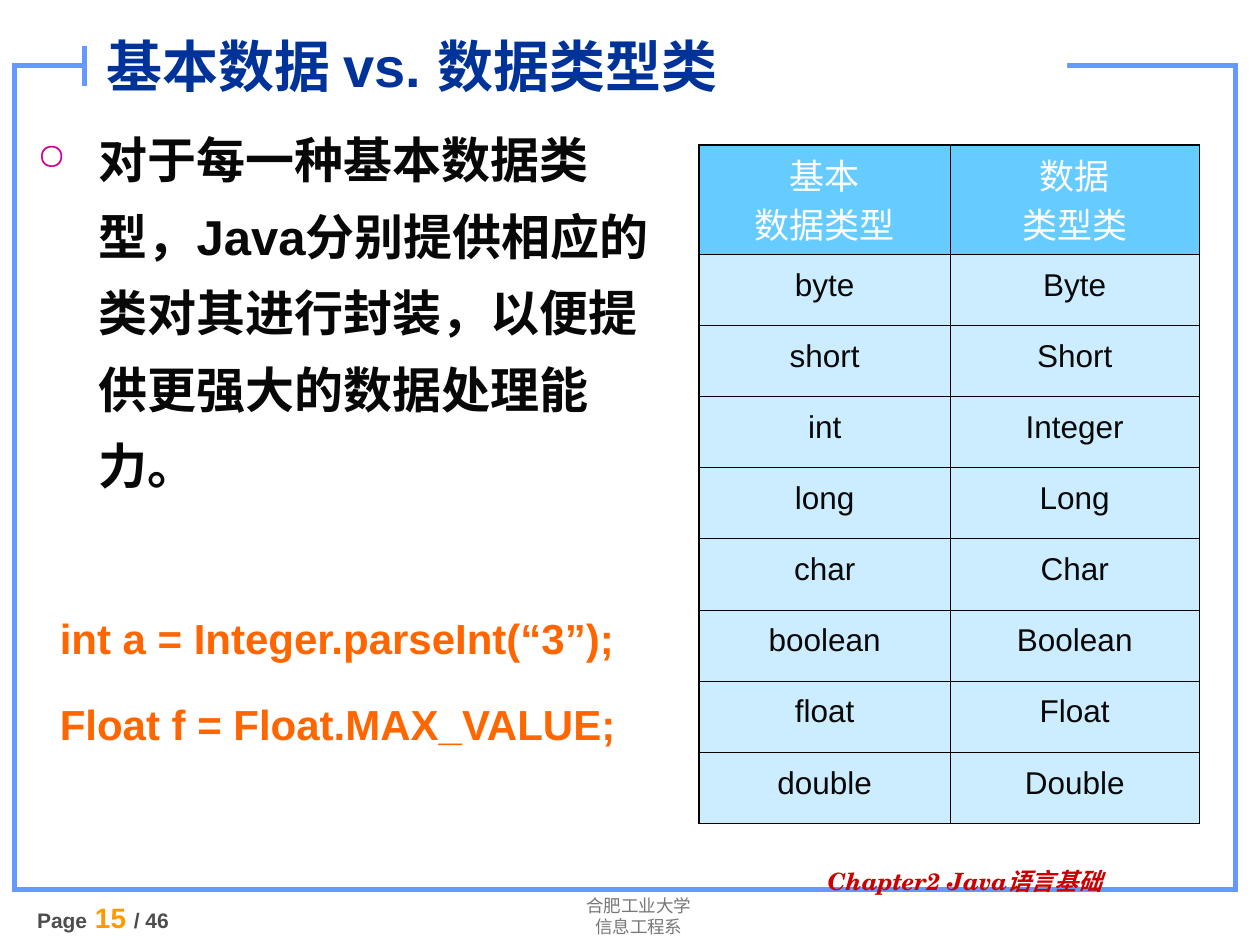
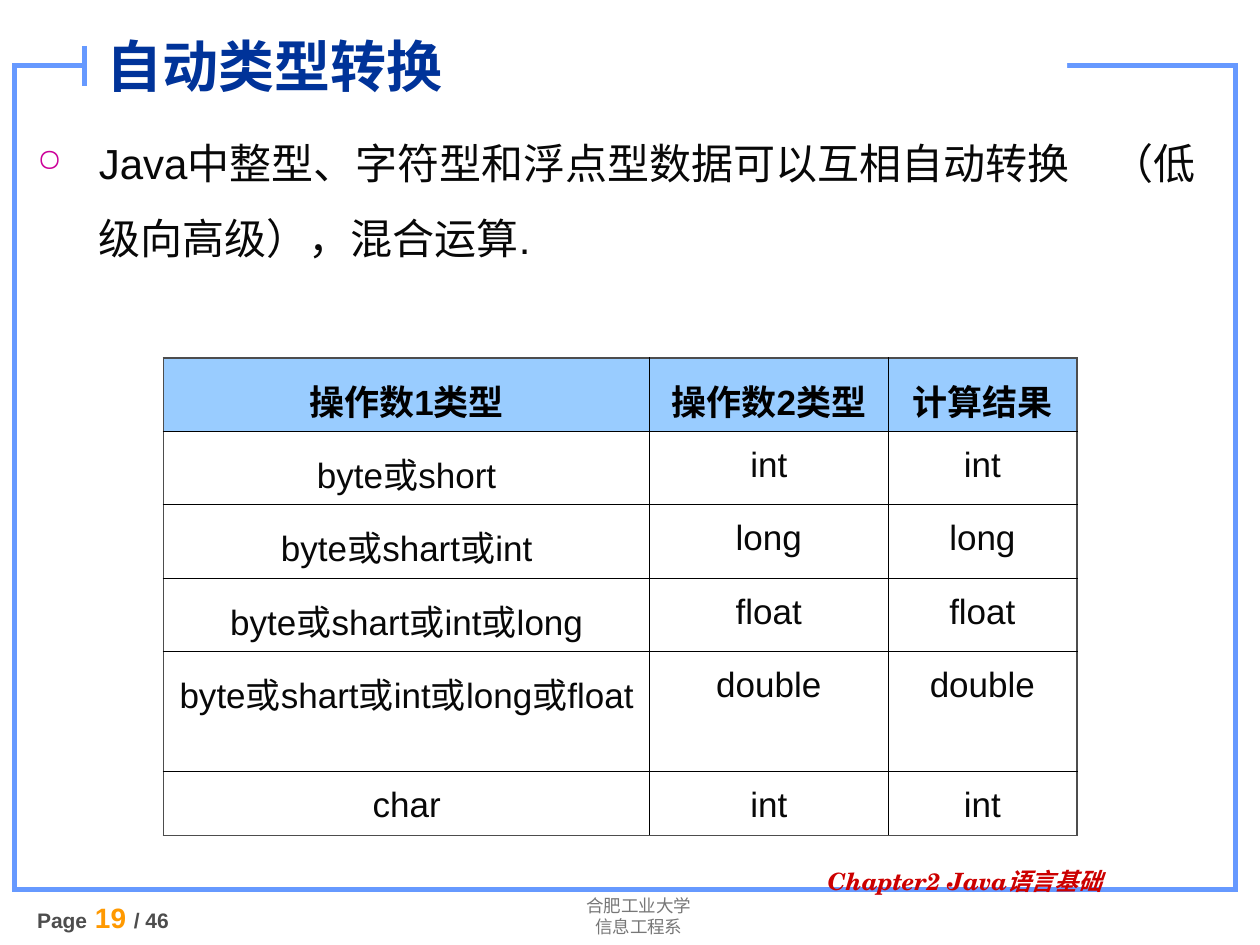
from dataclasses import dataclass
from typing import Any

from lxml.etree import SubElement
from pptx import Presentation
from pptx.dml.color import RGBColor
from pptx.enum.shapes import MSO_CONNECTOR, MSO_SHAPE
from pptx.enum.text import MSO_ANCHOR, MSO_AUTO_SIZE, PP_ALIGN
from pptx.oxml.ns import qn
from pptx.util import Pt


@dataclass(frozen=True)
class Theme:
    font: str = "Arial"
    department_font: str = "Roboto"
    chapter_font: str = "TeX Gyre Schola"
    frame: str = "6699FF"
    white: str = "FFFFFF"
    black: str = "000000"
    ink: str = "080808"
    title: str = "003399"
    bullet: str = "CC0099"
    code: str = "FF6600"
    chapter: str = "CC0000"
    department: str = "777777"
    gray: str = "4D4D4D"
    page: str = "FF9900"
    type_header: str = "66CCFF"
    type_body: str = "CCECFF"
    result_header: str = "99CCFF"
    title_size: float = 32
    statement_size: float = 28
    text_size: float = 24
    table_size: float = 20
    type_size: float = 18
    page_size: float = 16
    chapter_size: float = 13.6
    label_size: float = 12
    department_size: float = 10
    bullet_percent: int = 75
    frame_line: float = 3
    outer_line: float = 1.08
    inner_line: float = 0.45


THEME = Theme()


@dataclass(frozen=True)
class Box:
    left: float
    top: float
    width: float
    height: float

    def lengths(self) -> tuple:
        return Pt(self.left), Pt(self.top), Pt(self.width), Pt(self.height)


@dataclass(frozen=True)
class TextStyle:
    size: float
    color: str
    bold: bool = False
    italic: bool = False
    font: str = THEME.font


@dataclass(frozen=True)
class Line:
    runs: tuple[tuple[str, TextStyle], ...]
    alignment: PP_ALIGN = PP_ALIGN.LEFT
    spacing: float = 1.0
    before: float = 0
    indent: float = 0
    bullet: bool = False


@dataclass(frozen=True)
class TableRow:
    texts: tuple[str, ...]
    height: float
    style: TextStyle
    spacing: float
    fill: str | None = None


@dataclass(frozen=True)
class TableSpec:
    left: float
    top: float
    columns: tuple[float, ...]
    rows: tuple[TableRow, ...]
    outer_color: str
    outer_sides: str


@dataclass(frozen=True)
class Lesson:
    number: int
    title: str
    body_box: Box
    body: tuple[Line, ...]
    table: TableSpec


FRAME_BOX = Box(8.3, 37.44, 697.68, 470.88)
TITLE_GAP_BOX = Box(48.24, 20.16, 561.6, 25.2)
TITLE_BOX = Box(53.7, 8.3, 487.44, 57.6)
DEPARTMENT_BOX = Box(273.6, 507.9, 182.88, 31.68)
PAGE_BOX = Box(14.1, 511, 130.32, 28)
CHAPTER_BOX = Box(465.84, 493.5, 221.04, 25.2)
TICK_X, TICK_TOP, TICK_BOTTOM = 48.24, 26.2, 48.96
BULLET_INDENT = 35.28
PAGE_TOTAL = 46

TITLE_STYLE = TextStyle(THEME.title_size, THEME.title, True)
STATEMENT_STYLE = TextStyle(THEME.statement_size, THEME.ink, True)
CODE_STYLE = TextStyle(THEME.text_size, THEME.code, True)
TEXT_STYLE = TextStyle(THEME.text_size, THEME.ink)
LABEL_STYLE = TextStyle(THEME.label_size, THEME.gray, True)
PAGE_STYLE = TextStyle(THEME.page_size, THEME.page, True)
CHAPTER_STYLE = TextStyle(THEME.chapter_size, THEME.chapter, True, True, THEME.chapter_font)
DEPARTMENT_STYLE = TextStyle(THEME.department_size, THEME.department, font=THEME.department_font)
TYPE_HEADER_STYLE = TextStyle(THEME.table_size, THEME.white)
TYPE_STYLE = TextStyle(THEME.type_size, THEME.ink)
RESULT_HEADER_STYLE = TextStyle(THEME.table_size, THEME.black, True)
RESULT_STYLE = TextStyle(THEME.table_size, THEME.ink)


def set_values(target: Any, values: dict[str, Any]) -> None:
    for name, value in values.items():
        setattr(target, name, value)


def color(value: str) -> RGBColor:
    return RGBColor.from_string(value)


def write_lines(frame: Any, lines: tuple[Line, ...]) -> None:
    for index, line in enumerate(lines):
        paragraph = frame.add_paragraph() if index else frame.paragraphs[0]
        properties = paragraph._p.get_or_add_pPr()
        properties.set("marL", str(Pt(line.indent)))
        properties.set("indent", str(-Pt(line.indent) if line.bullet else 0))
        properties.set("hangingPunct", "0")
        if line.bullet:
            bullet_color = SubElement(properties, qn("a:buClr"))
            SubElement(bullet_color, qn("a:srgbClr"), val=THEME.bullet)
            SubElement(properties, qn("a:buSzPct"), val=str(THEME.bullet_percent * 1000))
            SubElement(properties, qn("a:buChar"), char="○")
        set_values(paragraph, {
            "alignment": line.alignment,
            "line_spacing": line.spacing,
            "space_before": Pt(line.before),
        })
        for text, style in line.runs:
            run = paragraph.add_run()
            run.text = text
            set_values(run.font, {
                "name": style.font,
                "size": Pt(style.size),
                "bold": style.bold,
                "italic": style.italic,
            })
            run.font.color.rgb = color(style.color)


def add_text(slide: Any, box: Box, lines: tuple[Line, ...]) -> None:
    frame = slide.shapes.add_textbox(*box.lengths()).text_frame
    frame.word_wrap = True
    write_lines(frame, lines)


def add_rectangle(slide: Any, box: Box, fill: str | None, line: str | None) -> None:
    shape = slide.shapes.add_shape(MSO_SHAPE.RECTANGLE, *box.lengths())
    shape.shadow.inherit = False
    for part, value in ((shape.fill, fill), (shape.line.fill, line)):
        if value:
            part.solid()
            part.fore_color.rgb = color(value)
        else:
            part.background()
    if line:
        shape.line.width = Pt(THEME.frame_line)
        SubElement(shape._element.spPr.find(qn("a:ln")), qn("a:miter"), lim="800000")


def add_frame(slide: Any) -> None:
    add_rectangle(slide, FRAME_BOX, None, THEME.frame)
    add_rectangle(slide, TITLE_GAP_BOX, THEME.white, None)
    tick = slide.shapes.add_connector(
        MSO_CONNECTOR.STRAIGHT, Pt(TICK_X), Pt(TICK_TOP), Pt(TICK_X), Pt(TICK_BOTTOM))
    tick.line.color.rgb = color(THEME.frame)
    tick.line.width = Pt(THEME.frame_line)
    SubElement(tick._element.spPr, qn("a:effectLst"))


def add_footer(slide: Any, number: int) -> None:
    add_text(slide, DEPARTMENT_BOX, tuple(
        Line(((text, DEPARTMENT_STYLE),), PP_ALIGN.CENTER)
        for text in ("合肥工业大学", "信息工程系")))
    add_text(slide, PAGE_BOX, (Line((
        ("Page", LABEL_STYLE),
        (f" {number} ", PAGE_STYLE),
        (f"/ {PAGE_TOTAL}", LABEL_STYLE),
    )),))
    add_text(slide, CHAPTER_BOX, (Line((("Chapter2 Java语言基础", CHAPTER_STYLE),), spacing=0.9),))


def set_title(slide: Any, text: str) -> None:
    title = slide.shapes.title
    slide.shapes._spTree.append(title._element)
    set_values(title, dict(zip(("left", "top", "width", "height"), TITLE_BOX.lengths())))
    set_values(title.text_frame, {
        "word_wrap": True,
        "auto_size": MSO_AUTO_SIZE.NONE,
        "vertical_anchor": MSO_ANCHOR.MIDDLE,
    })
    write_lines(title.text_frame, (Line(((text, TITLE_STYLE),)),))


def set_border(cell: Any, side: str, value: str, width: float) -> None:
    properties = cell._tc.get_or_add_tcPr()
    line = SubElement(properties, qn(f"a:ln{side}"), w=str(Pt(width)))
    fill = SubElement(line, qn("a:solidFill"))
    SubElement(fill, qn("a:srgbClr"), val=value)


def add_table(slide: Any, spec: TableSpec) -> None:
    row_count, column_count = len(spec.rows), len(spec.columns)
    box = Box(spec.left, spec.top, sum(spec.columns), sum(row.height for row in spec.rows))
    table = slide.shapes.add_table(row_count, column_count, *box.lengths()).table
    set_values(table, {"first_row": False, "horz_banding": False})
    for column, width in zip(table.columns, spec.columns):
        column.width = Pt(width)
    for row_index, row in enumerate(spec.rows):
        table.rows[row_index].height = Pt(row.height)
        for column_index, text in enumerate(row.texts):
            cell = table.cell(row_index, column_index)
            edges = {
                "L": column_index == 0,
                "R": column_index == column_count - 1,
                "T": row_index == 0,
                "B": row_index == row_count - 1,
            }
            for side, at_edge in edges.items():
                if at_edge and side in spec.outer_sides:
                    set_border(cell, side, spec.outer_color, THEME.outer_line)
                else:
                    set_border(cell, side, THEME.black, THEME.inner_line)
            if row.fill:
                cell.fill.solid()
                cell.fill.fore_color.rgb = color(row.fill)
            else:
                cell.fill.background()
            write_lines(cell.text_frame, tuple(
                Line(((part, row.style),), PP_ALIGN.CENTER, row.spacing)
                for part in text.split("\n")))


TYPE_PAIRS = (
    ("byte", "Byte"), ("short", "Short"), ("int", "Integer"), ("long", "Long"),
    ("char", "Char"), ("boolean", "Boolean"), ("float", "Float"), ("double", "Double"),
)
CONVERSIONS = (
    ("byte或short", "int", 42),
    ("byte或shart或int", "long", 42),
    ("byte或shart或int或long", "float", 42),
    ("byte或shart或int或long或float", "double", 68.6),
    ("char", "int", 36.4),
)

TYPE_TABLE = TableSpec(
    399.6, 82.8, (143.28, 142.56),
    (TableRow(("基本\n数据类型", "数据\n类型类"), 62.5, TYPE_HEADER_STYLE, 0.95, THEME.type_header),
     *(TableRow(pair, 40.65, TYPE_STYLE, 1.2, THEME.type_body) for pair in TYPE_PAIRS)),
    THEME.black, "LTR")
RESULT_TABLE = TableSpec(
    93.4, 204.48, (277.92, 136.08, 108),
    (TableRow(("操作数1类型", "操作数2类型", "计算结果"), 42, RESULT_HEADER_STYLE, 1.2,
              THEME.result_header),
     *(TableRow((first, second, second), height, RESULT_STYLE, 1.2)
       for first, second, height in CONVERSIONS)),
    THEME.gray, "LTRB")

LESSONS = (
    Lesson(15, "基本数据 vs. 数据类型类", Box(14.1, 60.48, 374.4, 447.84), (
        Line((("对于每一种基本数据类型，Java分别提供相应的类对其进行封装，以便提供更强大的数据处理能力。",
               STATEMENT_STYLE),), spacing=1.3, indent=BULLET_INDENT, bullet=True),
        Line((("int a = Integer.parseInt(“3”);", CODE_STYLE),), spacing=1.5, before=53, indent=13),
        Line((("Float f = Float.MAX_VALUE;", CODE_STYLE),), spacing=1.5, before=6, indent=13),
    ), TYPE_TABLE),
    Lesson(19, "自动类型转换", Box(14.1, 60.48, 686.16, 102.24), (
        Line((("Java中整型、字符型和浮点型数据可以互相自动转换　（低级向高级），混合运算.", TEXT_STYLE),),
             spacing=1.5, indent=BULLET_INDENT, bullet=True),
    ), RESULT_TABLE),
)


def main() -> None:
    presentation = Presentation()
    set_values(presentation, {"slide_width": Pt(720), "slide_height": Pt(540)})
    for lesson in LESSONS:
        slide = presentation.slides.add_slide(presentation.slide_layouts[5])
        add_frame(slide)
        add_footer(slide, lesson.number)
        set_title(slide, lesson.title)
        add_text(slide, lesson.body_box, lesson.body)
        add_table(slide, lesson.table)
    presentation.save("out.pptx")


if __name__ == "__main__":
    main()
